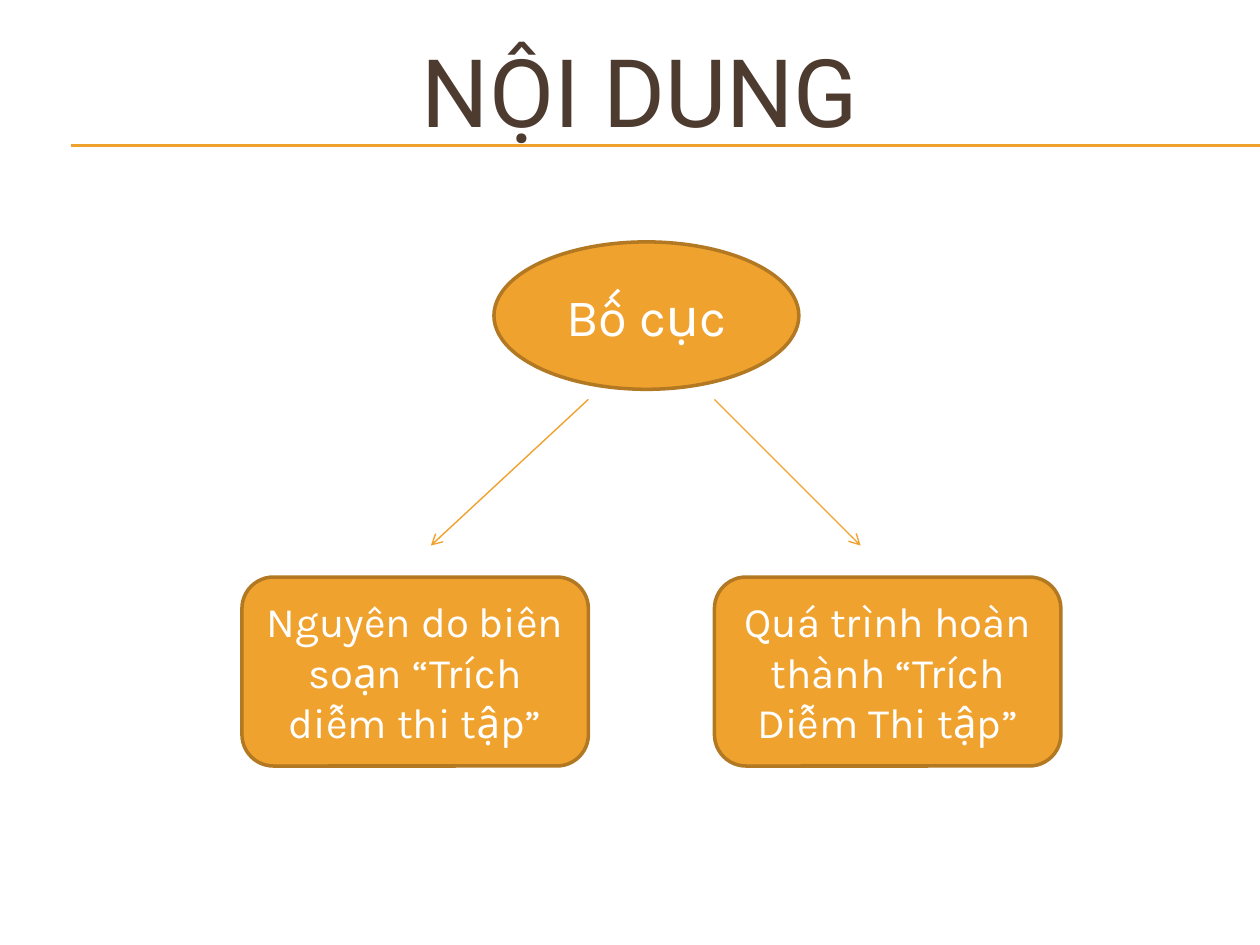
"""Build the "NỘI DUNG" slide: a topic ellipse branching to two parts."""
from lxml import etree
from pptx import Presentation
from pptx import util as u
from pptx.dml.color import RGBColor
from pptx.enum import shapes, text
from pptx.oxml.ns import qn

ORANGE = RGBColor(0xF0, 0xA2, 0x2E)
BRONZE = RGBColor(0xB2, 0x78, 0x22)
BROWN = RGBColor(0x4E, 0x3B, 0x30)
WHITE = RGBColor(0xFF, 0xFF, 0xFF)

TITLE = "NỘI DUNG"
TOPIC = "Bố cục"
PARTS = ["Nguyên do biên soạn “Trích diễm thi tập”",
         "Quá trình hoàn thành “Trích Diễm Thi tập”"]
RULE_TOPS = [1.15, 1.16]
ARROWS = [(4.67, 3.42), (5.67, 6.83)]
ARROW_TOP, ARROW_BOTTOM = 3.17, 4.33
PART_LEFT, PART_TOP, PART_W, PART_H, PART_GAP = 1.92, 4.58, 2.75, 1.5, 1


def write(sp, words, font, size, color):
    tf = sp.text_frame
    tf.word_wrap = True
    tf.vertical_anchor = text.MSO_ANCHOR.MIDDLE
    tf.text = words
    p = tf.paragraphs[0]
    p.alignment = text.PP_ALIGN.CENTER
    r = p.runs[0]
    r.font.name, r.font.size, r.font.color.rgb = font, u.Pt(size), color


def add_line(s, x1, y1, x2, y2, width, arrow=False):
    c = s.shapes.add_connector(shapes.MSO_CONNECTOR.STRAIGHT,
                               *map(u.Inches, (x1, y1, x2, y2)))
    c.line.color.rgb = ORANGE
    c.line.width = u.Pt(width)
    if arrow:
        etree.SubElement(c.line._get_or_add_ln(), qn("a:tailEnd"), type="arrow")
    etree.SubElement(c._element.spPr, qn("a:effectLst"))


def add_node(s, kind, box, words, size):
    sp = s.shapes.add_shape(kind, *map(u.Inches, box))
    sp.shadow.inherit = False
    sp.fill.solid()
    sp.fill.fore_color.rgb = ORANGE
    sp.line.color.rgb = BRONZE
    sp.line.width = u.Pt(2)
    write(sp, words, "Karla", size, WHITE)


def main():
    prs = Presentation()
    prs.slide_width, prs.slide_height = u.Inches(10), u.Inches(7.5)
    s = prs.slides.add_slide(prs.slide_layouts[5])

    title = s.shapes.title
    title.left, title.top, title.width, title.height = map(
        u.Inches, (0.33, 0.25, 9.5, 0.92))
    write(title, TITLE, "Roboto", 54, BROWN)

    for y in RULE_TOPS:
        add_line(s, 0.56, y, 10, y, 0.75)
    add_node(s, shapes.MSO_SHAPE.OVAL, (3.92, 1.92, 2.42, 1.17), TOPIC, 30)
    for x1, x2 in ARROWS:
        add_line(s, x1, ARROW_TOP, x2, ARROW_BOTTOM, 0.79, arrow=True)
    for i, words in enumerate(PARTS):
        x = PART_LEFT + i * (PART_W + PART_GAP)
        add_node(s, shapes.MSO_SHAPE.ROUNDED_RECTANGLE,
                 (x, PART_TOP, PART_W, PART_H), words, 24)

    prs.save("out.pptx")


if __name__ == "__main__":
    main()
